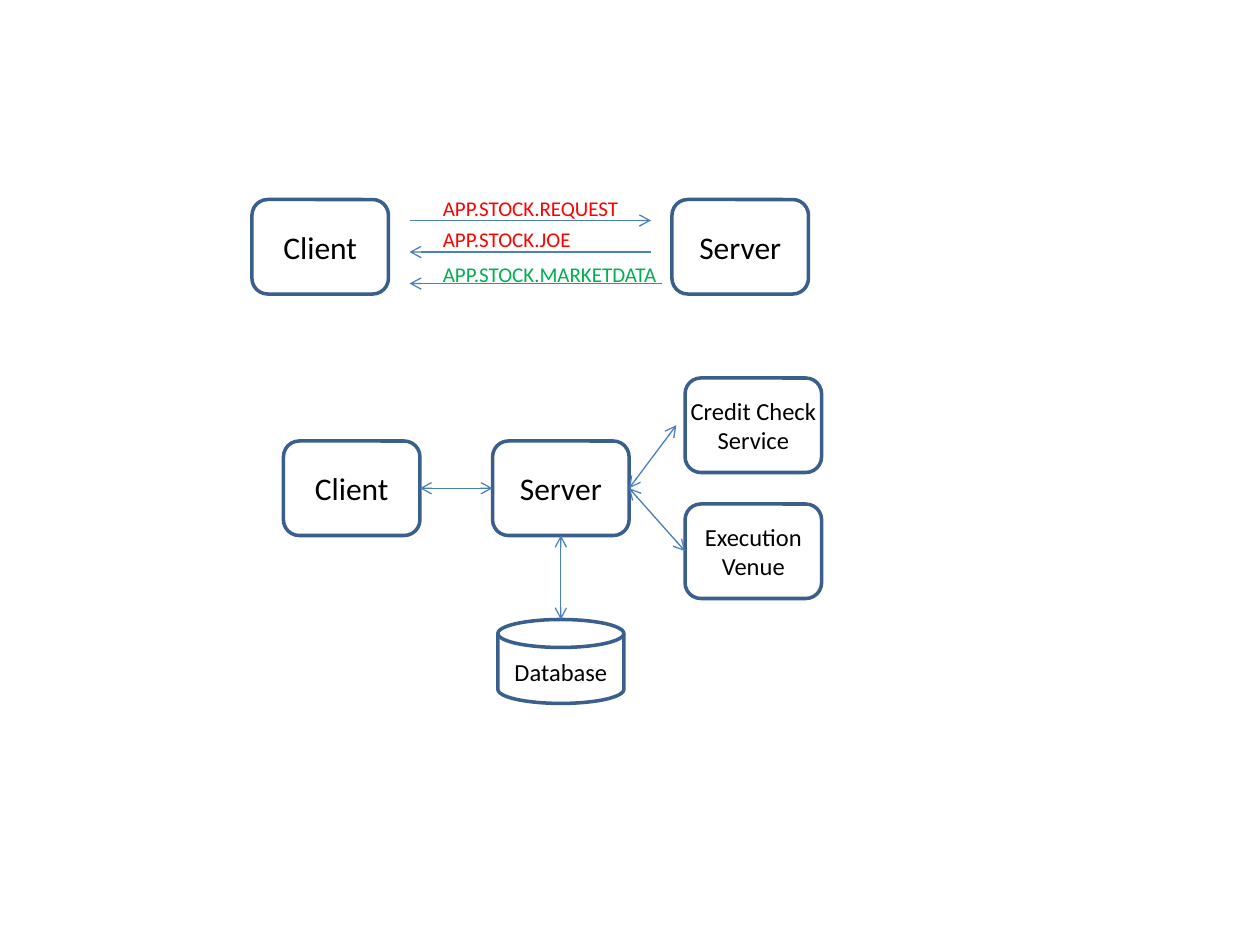
from pptx import Presentation
from pptx import util as u
from pptx.dml.color import RGBColor
from pptx.enum import shapes, text
from pptx.oxml import ns
from lxml import etree

BOX_LINE = RGBColor(0x3A, 0x5F, 0x8C)
ARROW_LINE = RGBColor(0x4B, 0x7E, 0xBC)
BLACK = RGBColor(0x00, 0x00, 0x00)
RED = RGBColor(0xFF, 0x00, 0x00)
GREEN = RGBColor(0x00, 0xB0, 0x50)

FONT = "Calibri"
NODE_WIDTH, NODE_HEIGHT = 78, 54
ROUNDED = shapes.MSO_SHAPE.ROUNDED_RECTANGLE
DISK = shapes.MSO_SHAPE.FLOWCHART_MAGNETIC_DISK


def add_text(parent, content, left, top, width, size=12, color=BLACK,
             align=text.PP_ALIGN.LEFT):
    """Add an unwrapped text box, one paragraph per line of content."""
    lines = content.split("\n")
    height = 1.2 * size * len(lines) + 7.2
    box = parent.add_textbox(u.Pt(left), u.Pt(top), u.Pt(width), u.Pt(height))
    frame = box.text_frame
    frame.word_wrap = False
    frame.auto_size = text.MSO_AUTO_SIZE.SHAPE_TO_FIT_TEXT
    frame.text = content
    for paragraph in frame.paragraphs:
        paragraph.alignment = align
        paragraph.font.name = FONT
        paragraph.font.size = u.Pt(size)
        paragraph.font.color.rgb = color


def add_node(parent, label, left, top, label_width, size=18, kind=ROUNDED,
             width=NODE_WIDTH, height=NODE_HEIGHT, drop=0):
    """Add an outlined shape with its label centred, lowered by drop."""
    shape = parent.add_shape(kind, u.Pt(left), u.Pt(top), u.Pt(width), u.Pt(height))
    shape.shadow.inherit = False
    shape.fill.background()
    shape.line.color.rgb = BOX_LINE
    shape.line.width = u.Pt(2)

    label_height = 1.2 * size * len(label.split("\n")) + 7.2
    add_text(parent, label, left + (width - label_width) / 2,
             top + (height - label_height) / 2 + drop, label_width,
             size=size, align=text.PP_ALIGN.CENTER)


def add_arrow(parent, start, end, both=False):
    """Add an arrow pointing at end, or at both ends."""
    connector = parent.add_connector(
        shapes.MSO_CONNECTOR.STRAIGHT, *(u.Pt(value) for value in (*start, *end)))
    connector.line.color.rgb = ARROW_LINE
    connector.line.width = u.Pt(0.75)
    line = connector.line._get_or_add_ln()
    for tag in ("a:headEnd", "a:tailEnd") if both else ("a:tailEnd",):
        etree.SubElement(line, ns.qn(tag), type="arrow")
    etree.SubElement(connector._element.spPr, ns.qn("a:effectLst"))


def add_messages(parent, left, top, width):
    """Client and server with the subjects sent between them."""
    add_node(parent, "Client", left, top, 57)
    add_node(parent, "Server", left + width - NODE_WIDTH, top, 62)

    near, far = left + 90, left + width - 90
    messages = [
        # subject, label width, label top, colour, start and end of the arrow
        ("APP.STOCK.REQUEST", 116, -6, RED, near, far),
        ("APP.STOCK.JOE", 88.5, 12, RED, far, near),
        ("APP.STOCK.MARKETDATA", 138, 32, GREEN, far + 6, near),
    ]
    for row, (subject, label_width, offset, color, start, end) in enumerate(messages):
        y = top + 12 + 18 * row
        add_arrow(parent, (start, y), (end, y))
        add_text(parent, subject, near + 12, top + offset, label_width, color=color)


def add_architecture(parent, left, top, width):
    """Server linked to its client, database and outside services."""
    server_left = left + 119.5
    server_right = server_left + NODE_WIDTH
    service_left = left + width - NODE_WIDTH
    node_top, venue_top, disk_top = top + 36, top + 72, top + 138
    middle = node_top + NODE_HEIGHT / 2
    center = server_left + NODE_WIDTH / 2

    # Nodes
    add_node(parent, "Client", left, node_top, 57)
    add_node(parent, "Server", server_left, node_top, 62)
    add_node(parent, "Database", center - 36, disk_top, 68, size=14,
             kind=DISK, width=72, height=48, drop=6)
    add_node(parent, "Credit Check\nService", service_left, top, 87, size=14)
    add_node(parent, "Execution\nVenue", service_left, venue_top, 70, size=14)

    # Links
    links = [
        ((server_left, middle), (left + NODE_WIDTH, middle)),
        ((center, node_top + NODE_HEIGHT), (center, disk_top)),
        ((service_left - 5, top + NODE_HEIGHT / 2), (server_right, middle)),
        ((service_left, venue_top + NODE_HEIGHT / 2), (server_right, middle)),
    ]
    for start, end in links:
        add_arrow(parent, start, end, both=True)


def main():
    presentation = Presentation()
    presentation.slide_width, presentation.slide_height = u.Pt(720), u.Pt(540)
    slide = presentation.slides.add_slide(presentation.slide_layouts[6])
    add_messages(slide.shapes, 144, 114, 318)
    add_architecture(slide.shapes.add_group_shape().shapes, 162, 216, 307.5)
    presentation.save("out.pptx")


if __name__ == "__main__":
    main()
